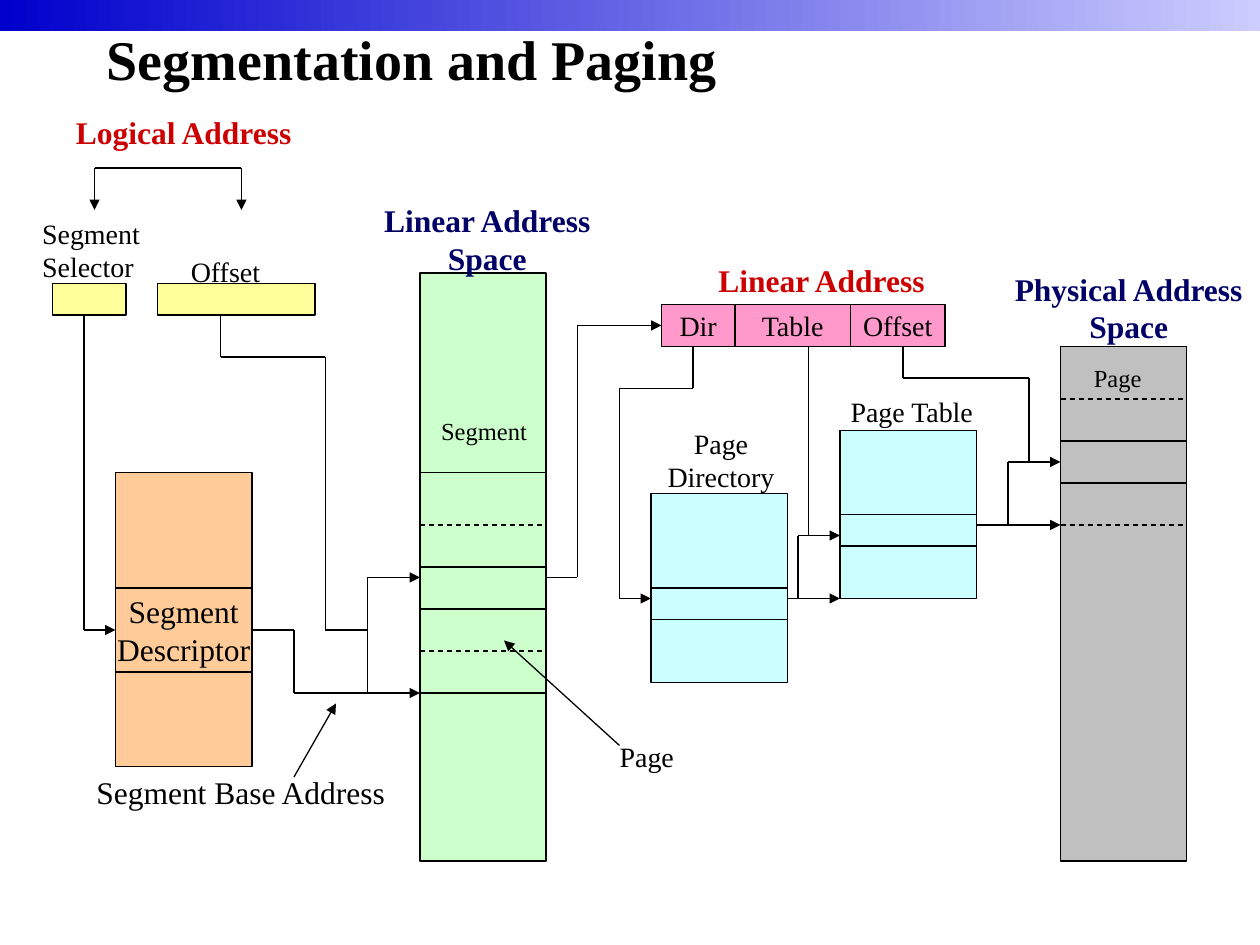
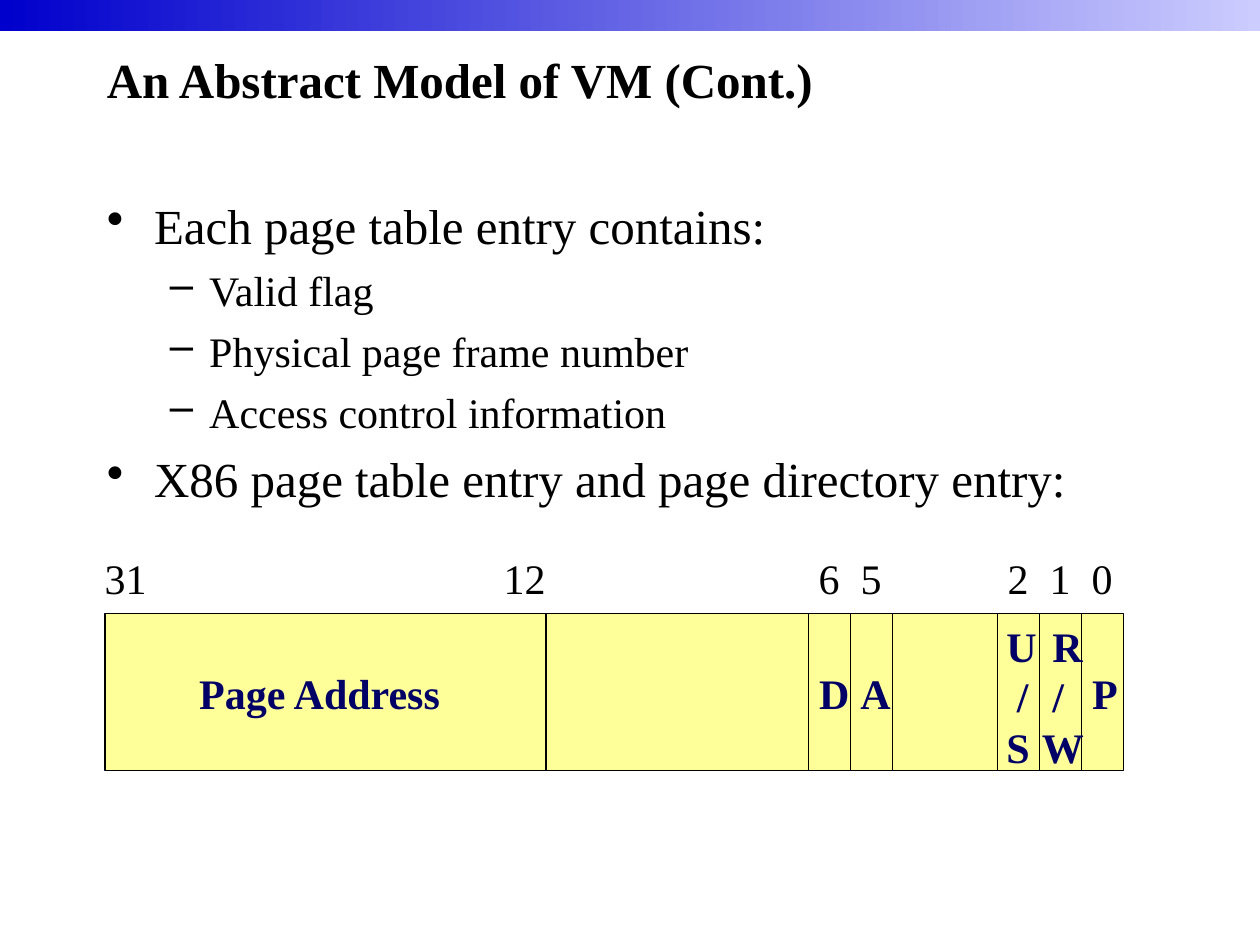
"""Build two slides on segmentation, paging and page table entries."""
import pptx
import pptx.util
import pptx.dml.color
import pptx.enum.dml
import pptx.enum.shapes
import pptx.enum.text
import pptx.oxml.ns
import lxml.etree

Pt = pptx.util.Pt
ALIGN = pptx.enum.text.PP_ALIGN
FONT = "Times New Roman"
COLOURS = {
    "black": "000000", "red": "CC0000", "navy": "000066",
    "band_start": "0000CC", "band_end": "CCCCFF",
    "yellow": "FFFF99", "orange": "FFCC99", "green": "CCFFCC",
    "pink": "FF99CC", "cyan": "CCFFFF", "grey": "C0C0C0",
}

MEMORY_BOXES = [
    ("yellow", 30, 162, 42, 18),
    ("yellow", 90, 162, 90, 18),
    ("orange", 66, 270, 78, 168),
    ("green", 240, 156, 72, 336),
    ("green", 240, 270, 72, 126),
    ("green", 240, 324, 72, 24),
    ("cyan", 372, 282, 78, 108),
    ("cyan", 372, 336, 78, 18),
    ("cyan", 480, 246, 78, 96),
    ("cyan", 480, 294, 78, 18),
    ("grey", 606, 198, 72, 294),
    ("grey", 606, 252, 72, 24),
]
SEGMENT_DESCRIPTOR = ("orange", 66, 336, 78, 48)
LINEAR_FIELDS = [("Dir", 42), ("Table", 66), ("Offset", 54)]
LINEAR_FIELDS_LEFT = 378
PAGE_BOUNDARIES = [(240, 300), (240, 372), (606, 228), (606, 300)]
PAGE_WIDTH = 72

ARROWS = [
    [(138, 96), (54, 96), (54, 120)],
    [(138, 96), (138, 120)],
    [(48, 180), (48, 360), (66, 360)],
    [(144, 360), (168, 360), (168, 396), (240, 396)],
    [(210, 396), (210, 330), (240, 330)],
    [(168, 444), (192, 402)],
    [(354, 426), (288, 366)],
    [(312, 330), (330, 330), (330, 186), (378, 186)],
    [(396, 198), (396, 222), (354, 222), (354, 342), (372, 342)],
    [(450, 342), (480, 342)],
    [(456, 342), (456, 306), (480, 306)],
    [(558, 300), (606, 300)],
    [(576, 300), (576, 264), (606, 264)],
]
PLAIN_ROUTES = [
    [(126, 180), (126, 204), (186, 204), (186, 360), (210, 360)],
    [(462, 198), (462, 306)],
    [(516, 198), (516, 216), (588, 216), (588, 264)],
]

HEADINGS = [
    ("Logical Address", 30, 61, 150, "red"),
    ("Linear Address\nSpace", 208, 111.5, 141, "navy"),
    ("Linear Address", 399, 145.5, 141, "red"),
    ("Physical Address\nSpace", 569, 150.5, 152, "navy"),
]
LABELS = [
    ("Segment\nSelector", 17, 120, 80, 16, ALIGN.LEFT),
    ("Offset", 102, 142, 64, 16, ALIGN.LEFT),
    ("Segment", 245, 234, 72, 14, ALIGN.LEFT),
    ("Segment Base Address", 48, 438, 190, 18, ALIGN.LEFT),
    ("Page", 347, 419, 56, 16, ALIGN.LEFT),
    ("Page", 618, 204, 52, 14, ALIGN.LEFT),
    ("Page\nDirectory", 367, 240, 90, 16, ALIGN.CENTER),
    ("Page Table", 471, 222, 100, 16, ALIGN.CENTER),
]

BULLETS = [
    (0, "Each page table entry contains:"),
    (1, "Valid flag"),
    (1, "Physical page frame number"),
    (1, "Access control information"),
    (0, "X86 page table entry and page directory entry:"),
]
BULLET_LEVELS = [
    {"mark": "•", "size": 28, "margin": 27, "hang": 27, "before": 7},
    {"mark": "–", "size": 24, "margin": 58.5, "hang": 22.5, "before": 6},
]
ENTRY = {"left": 60, "top": 350.5, "width": 582, "height": 90}
ENTRY_DIVIDERS = [312, 462, 486, 510, 570, 594, 618]
BIT_NUMBERS = [("31", 0), ("12", 228), ("6", 408), ("5", 432),
               ("2", 516), ("1", 540), ("0", 564)]
FLAG_NAMES = [
    ("Page Address", 106.75, 378, 165, []),
    ("D", 461, 378, 40, []),
    ("A", 484.5, 378, 40, []),
    ("P", 617, 378, 40, []),
    ("U\n/\nS", 568, 351, 40, [0, 6, 0]),
    ("R\n/\nW", 588.25, 351, 46, [6, 6, 0]),
]


def colour(name):
    return pptx.dml.color.RGBColor.from_string(COLOURS[name])


def add_xml(parent, tag, **attributes):
    return lxml.etree.SubElement(parent, pptx.oxml.ns.qn(tag), attributes)


def write(shape, text, size, shade="black", bold=False, align=ALIGN.LEFT):
    frame = shape.text_frame
    frame.text = text
    frame.word_wrap = True
    for para in frame.paragraphs:
        para.alignment = align
        for span in para.runs:
            span.font.name = FONT
            span.font.size = Pt(size)
            span.font.bold = bold
            span.font.color.rgb = colour(shade)
    return frame


def add_label(page, text, left, top, width, size, shade="black", bold=False,
              align=ALIGN.LEFT):
    height = 1.2 * size * len(text.split("\n")) + 7.2
    box = page.shapes.add_textbox(Pt(left), Pt(top), Pt(width), Pt(height))
    return write(box, text, size, shade, bold, align)


def add_box(page, fill, left, top, width, height, text="", size=16):
    box = page.shapes.add_shape(pptx.enum.shapes.MSO_SHAPE.RECTANGLE,
                                Pt(left), Pt(top), Pt(width), Pt(height))
    box.shadow.inherit = False
    box.fill.solid()
    box.fill.fore_color.rgb = colour(fill)
    box.line.color.rgb = colour("black")
    box.line.width = Pt(0.75)
    if text:
        frame = write(box, text, size, align=ALIGN.CENTER)
        frame.word_wrap = False
        frame.vertical_anchor = pptx.enum.text.MSO_ANCHOR.MIDDLE
    return box


def add_line(page, start, end, arrow=False, dashed=False):
    line = page.shapes.add_connector(pptx.enum.shapes.MSO_CONNECTOR.STRAIGHT,
                                     *map(Pt, start + end))
    line.line.color.rgb = colour("black")
    line.line.width = Pt(0.75)
    if dashed:
        line.line.dash_style = pptx.enum.dml.MSO_LINE.DASH
    if arrow:
        add_xml(line.line._get_or_add_ln(), "a:tailEnd", type="triangle")
    add_xml(line._element.spPr, "a:effectLst")


def add_route(page, points, arrow=False):
    legs = list(zip(points, points[1:]))
    for number, (start, end) in enumerate(legs, 1):
        add_line(page, start, end, arrow=arrow and number == len(legs))


def add_page(deck, title, top, height, size):
    page = deck.slides.add_slide(deck.slide_layouts[6])
    band = add_box(page, "band_start", 0, 0, 720, 18)
    band.line.fill.background()
    band.fill.gradient()
    band.fill.gradient_angle = 0
    for stop, name in zip(band.fill.gradient_stops, ("band_start", "band_end")):
        stop.color.rgb = colour(name)
    box = page.shapes.add_textbox(Pt(54), Pt(top), Pt(612), Pt(height))
    frame = write(box, title, size, bold=True)
    frame.vertical_anchor = pptx.enum.text.MSO_ANCHOR.MIDDLE
    return page


def build_segmentation(deck):
    page = add_page(deck, "Segmentation and Paging", -12, 90, 32)
    for memory_box in MEMORY_BOXES:
        add_box(page, *memory_box)
    add_box(page, *SEGMENT_DESCRIPTOR, "Segment\nDescriptor", 18)
    left = LINEAR_FIELDS_LEFT
    for name, width in LINEAR_FIELDS:
        add_box(page, "pink", left, 174, width, 24, name)
        left += width
    for x, y in PAGE_BOUNDARIES:
        add_line(page, (x, y), (x + PAGE_WIDTH, y), dashed=True)
    for points in ARROWS:
        add_route(page, points, arrow=True)
    for points in PLAIN_ROUTES:
        add_route(page, points)
    for text, left, top, width, shade in HEADINGS:
        add_label(page, text, left, top, width, 18, shade, True, ALIGN.CENTER)
    for text, left, top, width, size, align in LABELS:
        add_label(page, text, left, top, width, size, align=align)


def add_bullets(page):
    box = page.shapes.add_textbox(Pt(54), Pt(108), Pt(612), Pt(324))
    frame = write(box, "\n".join(text for _, text in BULLETS), 28)
    for para, (level, _) in zip(frame.paragraphs, BULLETS):
        style = BULLET_LEVELS[level]
        para.level = level
        para.space_before = Pt(style["before"])
        para.runs[0].font.size = Pt(style["size"])
        properties = para._p.get_or_add_pPr()
        properties.set("marL", str(Pt(style["margin"])))
        properties.set("indent", str(-Pt(style["hang"])))
        add_xml(properties, "a:buChar", char=style["mark"])


def build_page_entry(deck):
    page = add_page(deck, "An Abstract Model of VM (Cont.)", 18, 54, 28)
    add_bullets(page)
    add_box(page, "yellow", *ENTRY.values())
    bottom = ENTRY["top"] + ENTRY["height"]
    for x in ENTRY_DIVIDERS:
        add_line(page, (x, ENTRY["top"]), (x, bottom))

    numbers = "\t".join(bit for bit, _ in BIT_NUMBERS)
    frame = add_label(page, numbers, 52.75, 312, 600, 24)
    tabs = add_xml(frame.paragraphs[0]._p.get_or_add_pPr(), "a:tabLst")
    for _, offset in BIT_NUMBERS[1:]:
        add_xml(tabs, "a:tab", pos=str(Pt(offset)), algn="l")

    for text, left, top, width, indents in FLAG_NAMES:
        frame = add_label(page, text, left, top, width, 24, "navy", True)
        for para, indent in zip(frame.paragraphs, indents):
            para._p.get_or_add_pPr().set("marL", str(Pt(indent)))


def main():
    deck = pptx.Presentation()
    deck.slide_width, deck.slide_height = Pt(720), Pt(540)
    build_segmentation(deck)
    build_page_entry(deck)
    deck.save("out.pptx")


if __name__ == "__main__":
    main()
